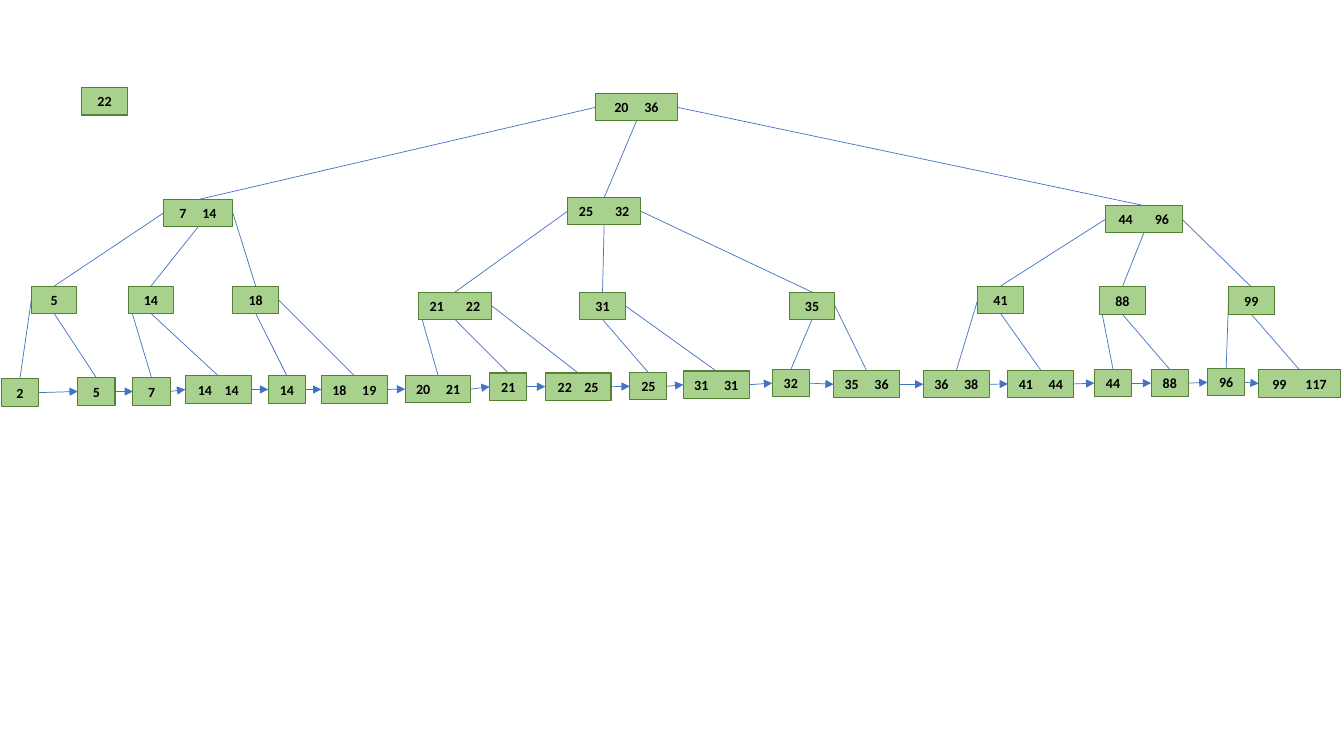
from lxml import etree
from pptx import Presentation
from pptx.dml.color import RGBColor
from pptx.enum.shapes import MSO_CONNECTOR, MSO_SHAPE
from pptx.enum.text import MSO_ANCHOR, PP_ALIGN
from pptx.oxml.ns import qn
from pptx.util import Cm, Pt

RECTANGLE = MSO_SHAPE.RECTANGLE
STRAIGHT = MSO_CONNECTOR.STRAIGHT
CENTER = PP_ALIGN.CENTER
MIDDLE = MSO_ANCHOR.MIDDLE
TOP, LEFT, BOTTOM, RIGHT = range(4)

NODE_FILL, NODE_LINE, EDGE_LINE = "A9D18E", "548235", "4472C4"
NODE_HEIGHT = 0.69
LEAF_WIDTH, LEAF_PAIR_WIDTH, INNER_WIDTH, WIDE_WIDTH = 0.94, 1.66, 1.15, 2.06
SPACE_WIDTH = 2.26  # points, one bold 10 pt space

ALL_SIDES = (LEFT, BOTTOM, RIGHT)
LEFT_SIDES = (LEFT, BOTTOM)
RIGHT_SIDES = (BOTTOM, RIGHT)

# Node: keys, left, top, width, gap between keys in space widths
# Branch: node, sides its edges leave from, leaves
LEFT_SUBTREE = {
    "root": ("7 14", 4.08, 0, 1.76, 5),
    "branches": [
        (("5", 0.76, 2.18, INNER_WIDTH), LEFT_SIDES, [
            ("2", 0, 4.52, LEAF_WIDTH),
            ("5", 1.93, 4.49, LEAF_WIDTH)]),
        (("14", 3.2, 2.18, INNER_WIDTH), LEFT_SIDES, [
            ("7", 3.32, 4.49, LEAF_WIDTH),
            ("14 14", 4.64, 4.44, LEAF_PAIR_WIDTH, 4)]),
        (("18", 5.84, 2.18, INNER_WIDTH), RIGHT_SIDES, [
            ("14", 6.73, 4.44, LEAF_WIDTH),
            ("18 19", 8.07, 4.44, LEAF_PAIR_WIDTH, 5)]),
    ],
}
MIDDLE_SUBTREE = {
    "root": ("25 32", 4.09, 0, 1.85, 7),
    "branches": [
        (("21 22", 0.33, 2.38, 1.85, 7), ALL_SIDES, [
            ("20 21", 0, 4.48, LEAF_PAIR_WIDTH, 5),
            ("21", 2.13, 4.42, LEAF_WIDTH),
            ("22 25", 3.53, 4.42, LEAF_PAIR_WIDTH, 4)]),
        (("31", 4.4, 2.38, INNER_WIDTH), RIGHT_SIDES, [
            ("25", 5.66, 4.41, LEAF_WIDTH),
            ("31 31", 7.01, 4.37, LEAF_PAIR_WIDTH, 5)]),
        (("35", 9.68, 2.38, INNER_WIDTH), RIGHT_SIDES, [
            ("32", 9.25, 4.33, LEAF_WIDTH),
            ("35 36", 10.8, 4.36, LEAF_PAIR_WIDTH, 5)]),
    ],
}
RIGHT_SUBTREE = {
    "root": ("44 96", 4.59, 0, 1.93, 7),
    "branches": [
        (("41", 1.37, 2.03, INNER_WIDTH), LEFT_SIDES, [
            ("36 38", 0, 4.16, LEAF_PAIR_WIDTH, 5),
            ("41 44", 2.13, 4.15, LEAF_PAIR_WIDTH, 5)]),
        (("88", 4.44, 2.05, INNER_WIDTH), LEFT_SIDES, [
            ("44", 4.31, 4.13, LEAF_WIDTH),
            ("88", 5.74, 4.13, LEAF_WIDTH)]),
        (("99", 7.69, 2.05, INNER_WIDTH), LEFT_SIDES, [
            ("96", 7.16, 4.11, LEAF_WIDTH),
            ("99 117", 8.45, 4.14, WIDE_WIDTH, 6)]),
    ],
}
SUBTREES = [(LEFT_SUBTREE, 0.03, 5.03),
            (MIDDLE_SUBTREE, 10.21, 4.98),
            (RIGHT_SUBTREE, 23.27, 5.18)]


def color(hex_string):
    return RGBColor.from_string(hex_string)


def apply_format(target, values):
    for name, value in values.items():
        setattr(target, name, value)


def add_run(paragraph, text):
    run = paragraph.add_run()
    run.text = text
    apply_format(run.font, {"name": "Calibri", "size": Pt(10), "bold": True})
    run.font.color.rgb = color("000000")
    return run


def add_node(slide, origin, keys, left, top, width, gap=1):
    shape = slide.shapes.add_shape(
        RECTANGLE, Cm(origin[0] + left), Cm(origin[1] + top),
        Cm(width), Cm(NODE_HEIGHT))
    shape.shadow.inherit = False
    shape.fill.solid()
    shape.fill.fore_color.rgb = color(NODE_FILL)
    shape.line.color.rgb = color(NODE_LINE)
    shape.line.width = Pt(0.75)
    apply_format(shape.text_frame, {
        "margin_left": 0, "margin_right": 0, "margin_top": 0,
        "margin_bottom": 0, "word_wrap": True, "vertical_anchor": MIDDLE})
    paragraph = shape.text_frame.paragraphs[0]
    paragraph.alignment = CENTER
    first, *rest = keys.split()
    add_run(paragraph, first)
    for key in rest:
        # One space, widened by character spacing
        space = add_run(paragraph, " ")
        spacing = round((gap - 1) * SPACE_WIDTH * 100)
        space.font._element.set("spc", str(spacing))
        add_run(paragraph, key)
    return shape


def add_edge(slide, start, start_side, end, end_side=TOP, arrow=False):
    connector = slide.shapes.add_connector(STRAIGHT, 0, 0, 0, 0)
    connector.begin_connect(start, start_side)
    connector.end_connect(end, end_side)
    connector.line.color.rgb = color(EDGE_LINE)
    connector.line.width = Pt(0.5)
    properties = connector._element.spPr
    etree.SubElement(properties, qn("a:effectLst"))
    if arrow:
        line = properties.find(qn("a:ln"))
        etree.SubElement(line, qn("a:tailEnd"), type="triangle")
    # Edges lie behind the nodes
    slide.shapes._spTree.insert(2, connector._element)


def add_subtree(slide, subtree, left, top):
    """Draw a subtree at left, top; return its root and its leaves."""
    origin = (left, top)
    root = add_node(slide, origin, *subtree["root"])
    leaves = []
    for root_side, (node, sides, children) in zip(ALL_SIDES, subtree["branches"]):
        inner = add_node(slide, origin, *node)
        add_edge(slide, root, root_side, inner)
        for side, child in zip(sides, children):
            leaf = add_node(slide, origin, *child)
            add_edge(slide, inner, side, leaf)
            leaves.append(leaf)
    return root, leaves


def add_tree(slide):
    root = add_node(slide, (15.01, 2.36), "20 36", 0, 0, WIDE_WIDTH, 5)
    leaves = []
    for side, (subtree, left, top) in zip(ALL_SIDES, SUBTREES):
        subtree_root, subtree_leaves = add_subtree(slide, subtree, left, top)
        add_edge(slide, root, side, subtree_root)
        leaves += subtree_leaves
    # Linked list through the leaves
    for leaf, next_leaf in zip(leaves, leaves[1:]):
        add_edge(slide, leaf, RIGHT, next_leaf, LEFT, arrow=True)


def main():
    presentation = Presentation()
    presentation.slide_width = Cm(33.87)
    presentation.slide_height = Cm(19.05)
    slide = presentation.slides.add_slide(presentation.slide_layouts[6])
    add_tree(slide)
    # Separate key beside the tree
    add_node(slide, (2.06, 2.21), "22", 0, 0, INNER_WIDTH)
    presentation.save("out.pptx")


if __name__ == "__main__":
    main()
